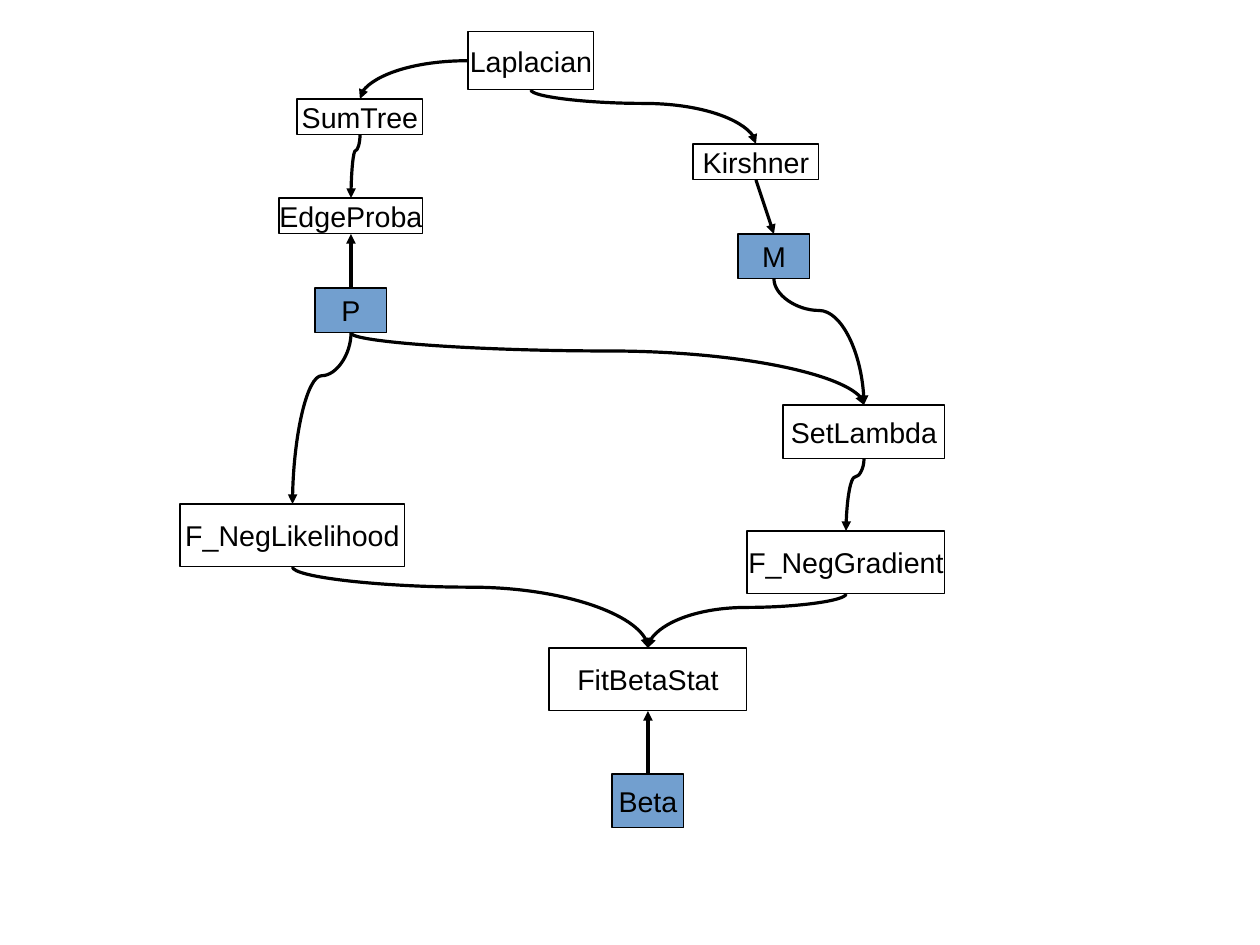
"""Draw the call graph of functions and parameters that feed FitBetaStat."""
from lxml import etree
from pptx import Presentation
from pptx.dml.color import RGBColor
from pptx.enum.shapes import MSO_CONNECTOR, MSO_SHAPE
from pptx.enum.text import MSO_ANCHOR, PP_ALIGN
from pptx.oxml.ns import qn
from pptx.util import Cm, Pt

RECTANGLE = MSO_SHAPE.RECTANGLE
STRAIGHT, CURVE = MSO_CONNECTOR.STRAIGHT, MSO_CONNECTOR.CURVE
CENTER, MIDDLE = PP_ALIGN.CENTER, MSO_ANCHOR.MIDDLE
TOP, LEFT, BOTTOM = 0, 1, 2
COLORS = {"function": "FFFFFF", "parameter": "729FCF", "ink": "000000"}
INK = RGBColor.from_string(COLORS["ink"])

prs = Presentation()
prs.slide_width, prs.slide_height = Cm(28), Cm(21)
slide = prs.slides.add_slide(prs.slide_layouts[6])


def add_node(text, left, top, width, height, role="function", size=18, font="Arial"):
    node = slide.shapes.add_shape(RECTANGLE, Cm(left), Cm(top), Cm(width), Cm(height))
    node.shadow.inherit = False
    node.fill.solid()
    node.fill.fore_color.rgb = RGBColor.from_string(COLORS[role])
    node.line.color.rgb = INK
    node.line.width = 0
    frame = node.text_frame
    frame.word_wrap = False
    frame.vertical_anchor = MIDDLE
    paragraph = frame.paragraphs[0]
    paragraph.alignment = CENTER
    run = paragraph.add_run()
    run.text = text
    run.font.name, run.font.size = font, Pt(size)
    run.font.color.rgb = INK
    return node


def add_arrow(source, source_site, target, target_site, preset):
    kind = STRAIGHT if preset == "line" else CURVE
    arrow = slide.shapes.add_connector(kind, 0, 0, 0, 0)
    arrow.begin_connect(source, source_site)
    arrow.end_connect(target, target_site)
    arrow.line.color.rgb = INK
    arrow.line.width = 0
    properties = arrow._element.spPr
    etree.SubElement(properties.find(qn("a:ln")), qn("a:tailEnd"), type="triangle")
    etree.SubElement(properties, qn("a:effectLst"))
    if kind == STRAIGHT:
        return
    geometry = properties.find(qn("a:prstGeom"))
    geometry.set("prst", preset)
    if preset == "curvedConnector3":
        guides = geometry.find(qn("a:avLst"))
        etree.SubElement(guides, qn("a:gd"), name="adj1", fmla="val 25000")
    if source_site == LEFT:
        return
    shift = arrow.end_x - arrow.begin_x
    center_x = (arrow.begin_x + arrow.end_x) // 2
    center_y = (arrow.begin_y + arrow.end_y) // 2
    length, breadth = arrow.height, arrow.width
    arrow.left, arrow.top = center_x - length // 2, center_y - breadth // 2
    arrow.width, arrow.height = length, breadth
    frame = properties.find(qn("a:xfrm"))
    frame.attrib.clear()
    frame.set("rot", str((90 if shift < -Cm(0.1) else 270) * 60000))
    if shift > Cm(0.1):
        frame.set("flipH", "1")


edge_proba = add_node("EdgeProba", 6.2, 4.4, 3.2, 0.8)
sum_tree = add_node("SumTree", 6.6, 2.2, 2.8, 0.8)
p = add_node("P", 7, 6.4, 1.6, 1, role="parameter")
kirshner = add_node("Kirshner", 15.4, 3.2, 2.8, 0.8)
m = add_node("M", 16.4, 5.2, 1.6, 1, role="parameter")
laplacian = add_node("Laplacian", 10.4, 0.7, 2.8, 1.3)
set_lambda = add_node("SetLambda", 17.4, 9, 3.6, 1.2)
neg_gradient = add_node("F_NegGradient", 16.6, 11.8, 4.4, 1.4)
fit_beta_stat = add_node("FitBetaStat", 12.2, 14.4, 4.4, 1.4)
beta = add_node("Beta", 13.6, 17.2, 1.6, 1.2, role="parameter")
neg_likelihood = add_node("F_NegLikelihood", 4, 11.2, 5, 1.4)

add_arrow(kirshner, BOTTOM, m, TOP, "line")
add_arrow(laplacian, LEFT, sum_tree, TOP, "curvedConnector2")
for parameter, function in ((p, edge_proba), (beta, fit_beta_stat)):
    add_arrow(parameter, TOP, function, BOTTOM, "curvedConnector2")
for upper, lower in (
    (sum_tree, edge_proba),
    (p, neg_likelihood),
    (p, set_lambda),
    (m, set_lambda),
    (neg_likelihood, fit_beta_stat),
    (neg_gradient, fit_beta_stat),
    (laplacian, kirshner),
    (set_lambda, neg_gradient),
):
    add_arrow(upper, BOTTOM, lower, TOP, "curvedConnector3")

prs.save("out.pptx")
